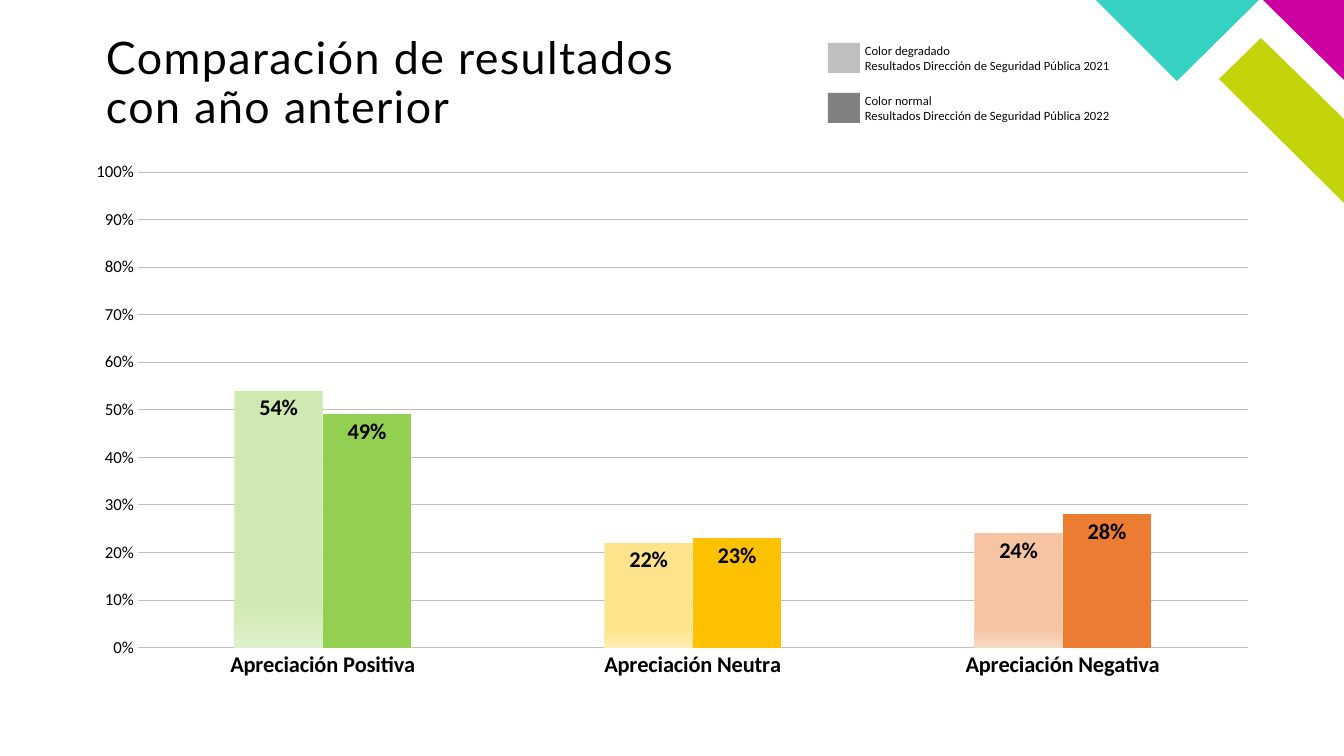
from lxml.etree import SubElement
from pptx import Presentation
from pptx.chart.data import CategoryChartData
from pptx.dml.color import RGBColor
from pptx.enum.chart import XL_CHART_TYPE, XL_LABEL_POSITION, XL_TICK_MARK
from pptx.enum.shapes import MSO_SHAPE
from pptx.enum.text import MSO_ANCHOR, PP_ALIGN
from pptx.oxml.ns import qn
from pptx.util import Emu, Pt

EMU_PER_PX = 914400 / 100.8


def px(length):
    return Emu(round(length * EMU_PER_PX))


def rgb(value):
    return RGBColor.from_string(value)


class SlideBuilder:
    body_font = "Calibri"
    title_font = "Lato"
    black = "000000"
    legend_ink = "07080B"
    grid_color = "BFBFBF"

    def __init__(self, slide):
        self.slide = slide
        self.shapes = slide.shapes

    def set_font(self, font, size, color, name=None, bold=False):
        font.name = name or self.body_font
        font.size = Pt(size)
        font.bold = bold
        font.color.rgb = rgb(color)

    def paint(self, shape, color):
        shape.shadow.inherit = False
        shape.fill.solid()
        shape.fill.fore_color.rgb = rgb(color)
        shape.line.fill.background()

    def title(self, text, left, top, width, height):
        title = self.shapes.title
        title.left, title.top, title.width, title.height = map(px, (left, top, width, height))
        frame = title.text_frame
        frame.word_wrap = True
        frame.vertical_anchor = MSO_ANCHOR.TOP
        frame.margin_left = frame.margin_top = frame.margin_right = frame.margin_bottom = 0
        frame.text = text
        paragraph = frame.paragraphs[0]
        paragraph.alignment = PP_ALIGN.LEFT
        paragraph.line_spacing = 0.9
        self.set_font(paragraph.font, 32, self.black, self.title_font)
        paragraph.runs[0].font._element.set("spc", "100")

    def polygon(self, points, color):
        builder = self.shapes.build_freeform(*points[0], scale=EMU_PER_PX)
        builder.add_line_segments(points[1:], close=True)
        self.paint(builder.convert_to_shape(), color)

    def swatch(self, left, top, width, height, color):
        box = map(px, (left, top, width, height))
        self.paint(self.shapes.add_shape(MSO_SHAPE.RECTANGLE, *box), color)

    def text(self, lines, left, top, width, height):
        frame = self.shapes.add_textbox(*map(px, (left, top, width, height))).text_frame
        frame.word_wrap = True
        frame.text = "\n".join(lines)
        for paragraph in frame.paragraphs:
            self.set_font(paragraph.font, 9, self.legend_ink)

    def column_chart(self, categories, results, left, top, width, height):
        data = CategoryChartData(number_format="0%")
        data.categories = categories
        for name, values in results:
            data.add_series(name, values)
        box = map(px, (left, top, width, height))
        chart = self.shapes.add_chart(XL_CHART_TYPE.COLUMN_CLUSTERED, *box, data).chart
        chart.has_legend = chart.has_title = False
        self.set_font(chart.font, 10, self.black)
        plot = chart.plots[0]
        plot.gap_width, plot.overlap = 219, 0
        plot.vary_by_categories = False

        category_axis, value_axis = chart.category_axis, chart.value_axis
        for axis, size, bold in ((category_axis, 16, True), (value_axis, 12, False)):
            axis.major_tick_mark = axis.minor_tick_mark = XL_TICK_MARK.NONE
            self.set_font(axis.tick_labels.font, size, self.black, bold=bold)
        value_axis.minimum_scale, value_axis.maximum_scale = 0, 1
        value_axis.major_unit = 0.1
        value_axis.tick_labels.number_format = "0%"
        value_axis.tick_labels.number_format_is_linked = False
        value_axis.format.line.fill.background()
        for line, weight in ((category_axis.format.line, 0.75),
                             (value_axis.major_gridlines.format.line, 0.5)):
            line.color.rgb = rgb(self.grid_color)
            line.width = Pt(weight)

        for series in plot.series:
            labels = series.data_labels
            labels.show_value = True
            labels.position = XL_LABEL_POSITION.INSIDE_END
            labels.number_format = "0%"
            labels.number_format_is_linked = False
            self.set_font(labels.font, 16, self.black, bold=True)
        return chart

    def place_plot(self, chart, **fractions):
        plot_area = chart._chartSpace.chart.plotArea
        layout = plot_area.find(qn("c:layout"))
        if layout is None:
            layout = SubElement(plot_area, qn("c:layout"))
            plot_area.insert(0, layout)
        manual = SubElement(layout, qn("c:manualLayout"))
        settings = {"layoutTarget": "inner", "xMode": "edge", "yMode": "edge", **fractions}
        for tag, value in settings.items():
            SubElement(manual, qn(f"c:{tag}")).set("val", str(value))

    def solid_bar(self, bar, color):
        bar.format.fill.solid()
        bar.format.fill.fore_color.rgb = rgb(color)

    def faded_bar(self, bar, color, foot_color):
        fill = bar.format.fill
        fill.gradient()
        fill.gradient_angle = 270
        for stop, position, stop_color in zip(fill.gradient_stops, (0.83, 1), (color, foot_color)):
            stop.position = position
            stop.color.rgb = rgb(stop_color)


def main():
    presentation = Presentation()
    presentation.slide_width, presentation.slide_height = px(1344), px(756)
    builder = SlideBuilder(presentation.slides.add_slide(presentation.slide_layouts[5]))

    # Corner decoration
    builder.polygon([(1344, 203), (1344, 119), (1261, 38), (1219, 79)], "C4D40A")
    builder.polygon([(1263, 0), (1344, 0), (1344, 80)], "CE009F")
    builder.polygon([(1096, 0), (1177, 81), (1259, 0)], "35D2C4")

    # Comparison chart
    categories = ["Apreciación Positiva", "Apreciación Neutra", "Apreciación Negativa"]
    results = [("Series 1", (0.54, 0.22, 0.24)), ("Series 2", (0.49, 0.23, 0.28))]
    chart = builder.column_chart(categories, results, 73, 151, 1200, 538)
    builder.place_plot(chart, x=0.054, y=0.039, w=0.925, h=0.884)

    # Bar colours: faded for 2021, plain for 2022
    bar_colors = [
        ("CEEAB1", "DFF1CB", "93D051"),
        ("FFE38C", "FFEDB2", "FEC100"),
        ("F6C4A2", "F9D8C1", "EC7C31"),
    ]
    results_2021, results_2022 = chart.plots[0].series
    for index, (faded, foot, plain) in enumerate(bar_colors):
        builder.faded_bar(results_2021.points[index], faded, foot)
        builder.solid_bar(results_2022.points[index], plain)

    # Colour key
    color_key = [("BFBFBF", "Color degradado", 2021), ("808080", "Color normal", 2022)]
    for row, (gray, meaning, year) in enumerate(color_key):
        top = 43 + 50 * row
        builder.swatch(828, top, 32, 30, gray)
        source = f"Resultados Dirección de Seguridad Pública {year}"
        builder.text([meaning, source], 855, top - 5, 319, 40)

    # Title
    builder.title("Comparación de resultados con año anterior", 106, 36, 597, 115)

    presentation.save("out.pptx")


if __name__ == "__main__":
    main()
